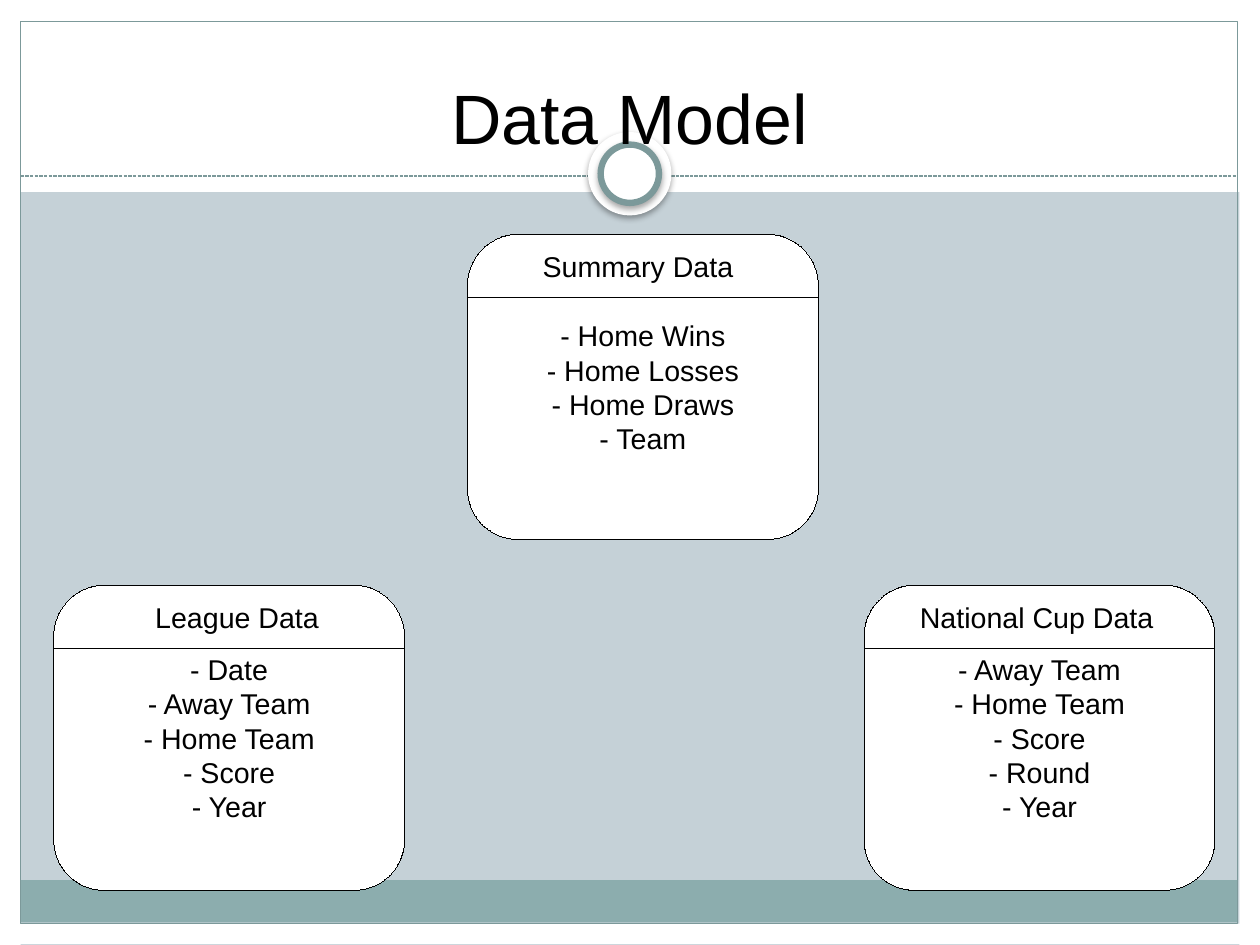
"""Build the Data Model slide with three data cards."""
from lxml import etree
from pptx import Presentation, util as u
from pptx.dml.color import RGBColor
from pptx.enum import dml, shapes, text
from pptx.oxml.ns import qn

WHITE, BLACK, TEAL, SAGE, MIST = "FFFFFF", "000000", "7C999A", "8CADAE", "C5D1D7"
WIDTH, HEIGHT, MARGIN = 28 / 2.54, 21 / 2.54, 0.18
CARD_WIDTH, CARD_HEIGHT, HEADER_HEIGHT = 3.07, 2.67, 0.55
HAIRLINE = 0.01
KIND = shapes.MSO_SHAPE
CENTER, LEFT = text.PP_ALIGN.CENTER, text.PP_ALIGN.LEFT
color = RGBColor.from_string

deck = Presentation()
deck.slide_width = u.Inches(WIDTH)
deck.slide_height = u.Inches(HEIGHT)
slide = deck.slides.add_slide(deck.slide_layouts[6])
slide.background.fill.solid()
slide.background.fill.fore_color.rgb = color(MIST)


def add_block(kind, at, fill=None, line=None, weight=HAIRLINE):
    block = slide.shapes.add_shape(kind, *map(u.Inches, at))
    block.shadow.inherit = False
    if fill:
        block.fill.solid()
        block.fill.fore_color.rgb = color(fill)
    else:
        block.fill.background()
    if line:
        block.line.color.rgb = color(line)
        block.line.width = u.Pt(weight)
    else:
        block.line.fill.background()
    return block


def add_rule(left, right, y, line, weight=HAIRLINE):
    rule = slide.shapes.add_connector(
        shapes.MSO_CONNECTOR.STRAIGHT, *map(u.Inches, (left, y, right, y)))
    rule.line.color.rgb = color(line)
    rule.line.width = u.Pt(weight)
    etree.SubElement(rule._element.spPr, qn("a:effectLst"))
    return rule


for edge in [(0, 8.08, WIDTH, 0.18), (0, 0, WIDTH, 1.68),
             (0, 0, MARGIN, HEIGHT), (WIDTH - MARGIN, 0, MARGIN, HEIGHT)]:
    add_block(KIND.RECTANGLE, edge, WHITE)
add_block(KIND.RECTANGLE, (MARGIN, 7.7, 10.65, 0.37), SAGE)
add_block(KIND.RECTANGLE, (MARGIN, 0.19, 10.65, 7.89), line=TEAL, weight=0.75)
divider = add_rule(MARGIN, 10.83, 1.54, TEAL, 0.75)
divider.line.dash_style = dml.MSO_LINE.SQUARE_DOT

for size, line in [(0.73, None), (0.51, TEAL)]:
    ring = add_block(KIND.OVAL, (5.51 - size / 2, 1.52 - size / 2, size, size), WHITE, line, 4)
    shadow = etree.SubElement(
        ring._element.spPr.find(qn("a:effectLst")), qn("a:outerShdw"),
        blurRad=str(u.Pt(4)), dist=str(u.Pt(2)), dir="5400000", algn="t", rotWithShape="0")
    shade = etree.SubElement(shadow, qn("a:srgbClr"), val=BLACK)
    etree.SubElement(shade, qn("a:alpha"), val="35000")

title = slide.shapes.add_textbox(*map(u.Inches, (0.55, 0.33, 9.92, 1.38))).text_frame
title.word_wrap = True
title.vertical_anchor = text.MSO_ANCHOR.MIDDLE
title.margin_left = title.margin_right = title.margin_top = title.margin_bottom = 0
wording = [(title, ["Data Model"], 44, CENTER)]

cards = [
    (4.09, 2.05, "Summary Data", 4.65, 2.44,
     ["Home Wins", "Home Losses", "Home Draws", "Team"]),
    (0.47, 5.12, "League Data", 1.26, 1.73,
     ["Date", "Away Team", "Home Team", "Score", "Year"]),
    (7.56, 5.12, "National Cup Data", 7.95, 2.44,
     ["Away Team", "Home Team", "Score", "Round", "Year"]),
]
for left, top, name, name_left, name_width, fields in cards:
    card = add_block(KIND.ROUNDED_RECTANGLE, (left, top, CARD_WIDTH, CARD_HEIGHT), WHITE, BLACK)
    body = card.text_frame
    body.word_wrap = False
    body.vertical_anchor = text.MSO_ANCHOR.MIDDLE
    wording.append((body, [f"- {field}" for field in fields], 18, CENTER))
    add_rule(left, left + CARD_WIDTH, top + HEADER_HEIGHT, BLACK)

for left, top, name, name_left, name_width, fields in cards:
    header = slide.shapes.add_textbox(
        *map(u.Inches, (name_left, top + 0.08, name_width, 0.38))).text_frame
    header.word_wrap = True
    wording.append((header, [name], 18, LEFT))

for frame, lines, size, alignment in wording:
    for index, words in enumerate(lines):
        paragraph = frame.add_paragraph() if index else frame.paragraphs[0]
        paragraph.alignment = alignment
        run = paragraph.add_run()
        run.text = words
        run.font.name = "Arial"
        run.font.size = u.Pt(size)
        run.font.color.rgb = color(BLACK)

deck.save("out.pptx")
